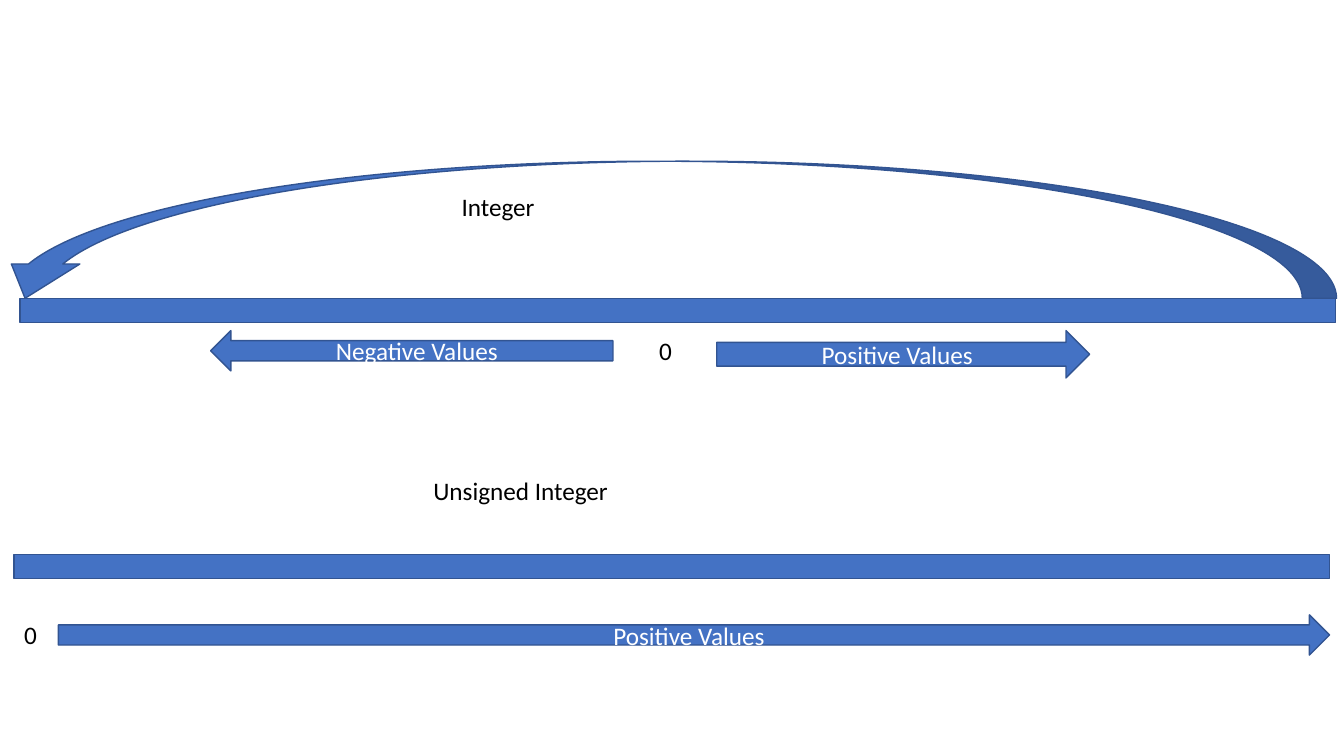
from pptx import Presentation
from pptx import util as u
from pptx.dml import color
from pptx.enum import shapes, text

WIDTH, HEIGHT = u.Inches(13.333), u.Inches(7.5)
COLORS = {"fill": "4472C4", "line": "325491", "label": "000000", "on_fill": "FFFFFF"}
FONT = {"name": "Calibri", "size": u.Pt(18)}
KIND = shapes.MSO_SHAPE
BAR_WIDTH, BAR_HEIGHT = 97.88, 3.2
ROW_HEIGHT = 5.33
ZERO_WIDTH, HEADING_WIDTH = 2.4, 24.6


def rgb(name):
    return color.RGBColor.from_string(COLORS[name])


def place(left, top, width, height):
    return [int(share * full / 100) for share, full in
            ((left, WIDTH), (top, HEIGHT), (width, WIDTH), (height, HEIGHT))]


def set_all(target, values):
    for name, value in values.items():
        setattr(target, name, value)


def write(box, words, color_name, align):
    para = box.text_frame.paragraphs[0]
    para.alignment = align
    span = para.add_run()
    span.text = words
    set_all(span.font, FONT)
    span.font.color.rgb = rgb(color_name)


def add_label(page, words, left, top, width):
    box = page.shapes.add_textbox(*place(left, top, width, ROW_HEIGHT))
    set_all(box.text_frame, {"word_wrap": True,
                             "auto_size": text.MSO_AUTO_SIZE.SHAPE_TO_FIT_TEXT})
    write(box, words, "label", text.PP_ALIGN.LEFT)


def add_block(page, kind, left, top, width, height, words=""):
    block = page.shapes.add_shape(kind, *place(left, top, width, height))
    block.shadow.inherit = False
    block.fill.solid()
    block.fill.fore_color.rgb = rgb("fill")
    block.line.color.rgb = rgb("line")
    block.line.width = u.Pt(1)
    if words:
        set_all(block.text_frame, {"word_wrap": True,
                                   "vertical_anchor": text.MSO_ANCHOR.MIDDLE})
        write(block, words, "on_fill", text.PP_ALIGN.CENTER)
    return block


def add_integer_range(page):
    add_block(page, KIND.RECTANGLE, 1.5, 39.47, BAR_WIDTH, BAR_HEIGHT)
    add_label(page, "0", 48.3, 43.73, ZERO_WIDTH)
    add_block(page, KIND.RIGHT_ARROW, 53.33, 43.73, 27.75, 6.27, "Positive Values")
    add_block(page, KIND.LEFT_ARROW, 15.68, 43.73, 29.93, ROW_HEIGHT, "Negative Values")
    overflow = add_block(page, KIND.CURVED_DOWN_ARROW, -0.68, 21.33, 100.13, 18.13)
    overflow.element.spPr.xfrm.set("flipH", "1")
    add_label(page, "Integer", 33.6, 24.67, HEADING_WIDTH)


def add_unsigned_range(page):
    add_label(page, "0", 1.05, 81.2, ZERO_WIDTH)
    add_block(page, KIND.RIGHT_ARROW, 4.35, 81.33, 94.58, ROW_HEIGHT, "Positive Values")
    add_label(page, "Unsigned Integer", 31.5, 62.27, HEADING_WIDTH)
    add_block(page, KIND.RECTANGLE, 1.05, 73.33, BAR_WIDTH, BAR_HEIGHT)


def main():
    deck = Presentation()
    set_all(deck, {"slide_width": WIDTH, "slide_height": HEIGHT})
    page = deck.slides.add_slide(deck.slide_layouts[6])
    add_integer_range(page)
    add_unsigned_range(page)
    deck.save("out.pptx")


main()
